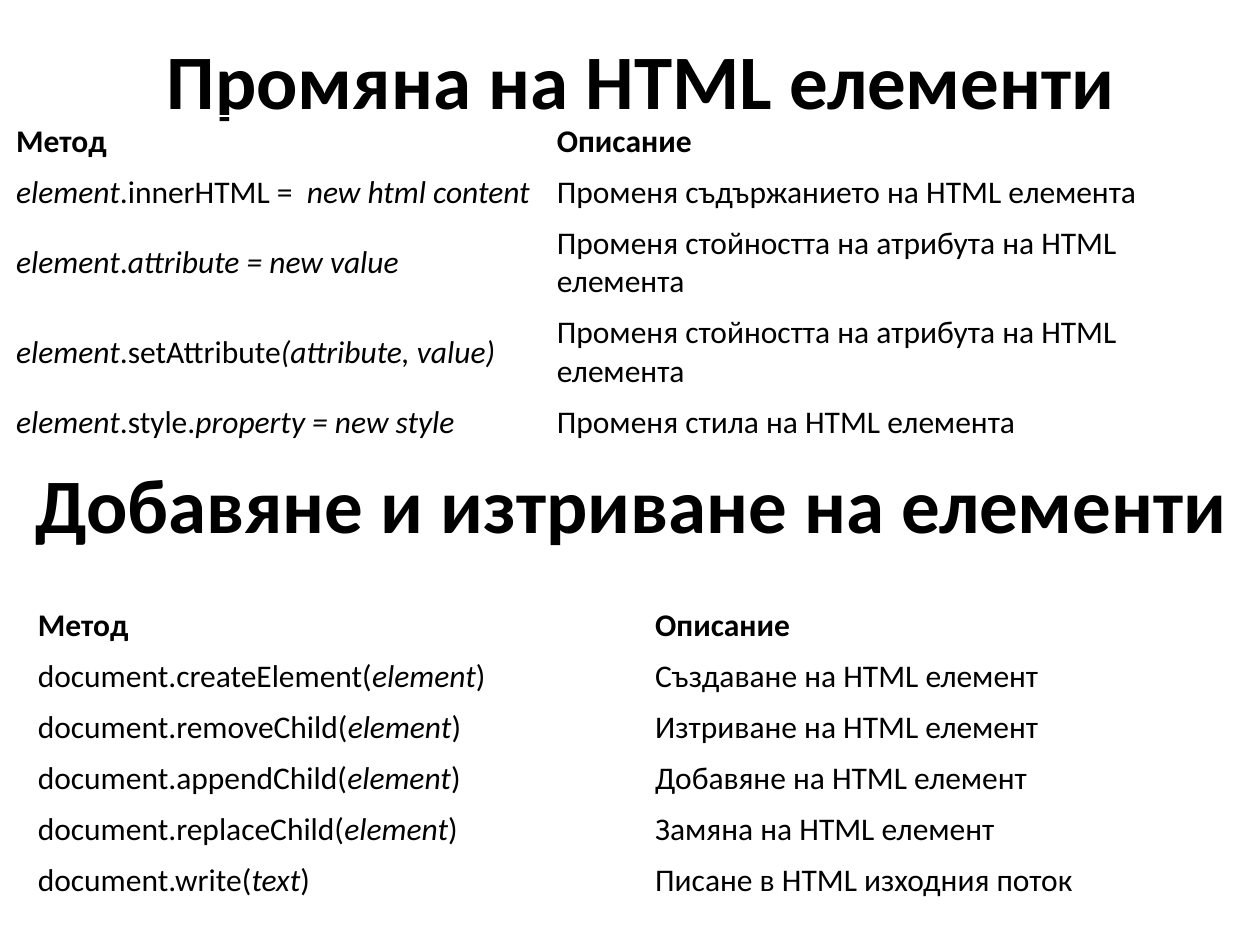
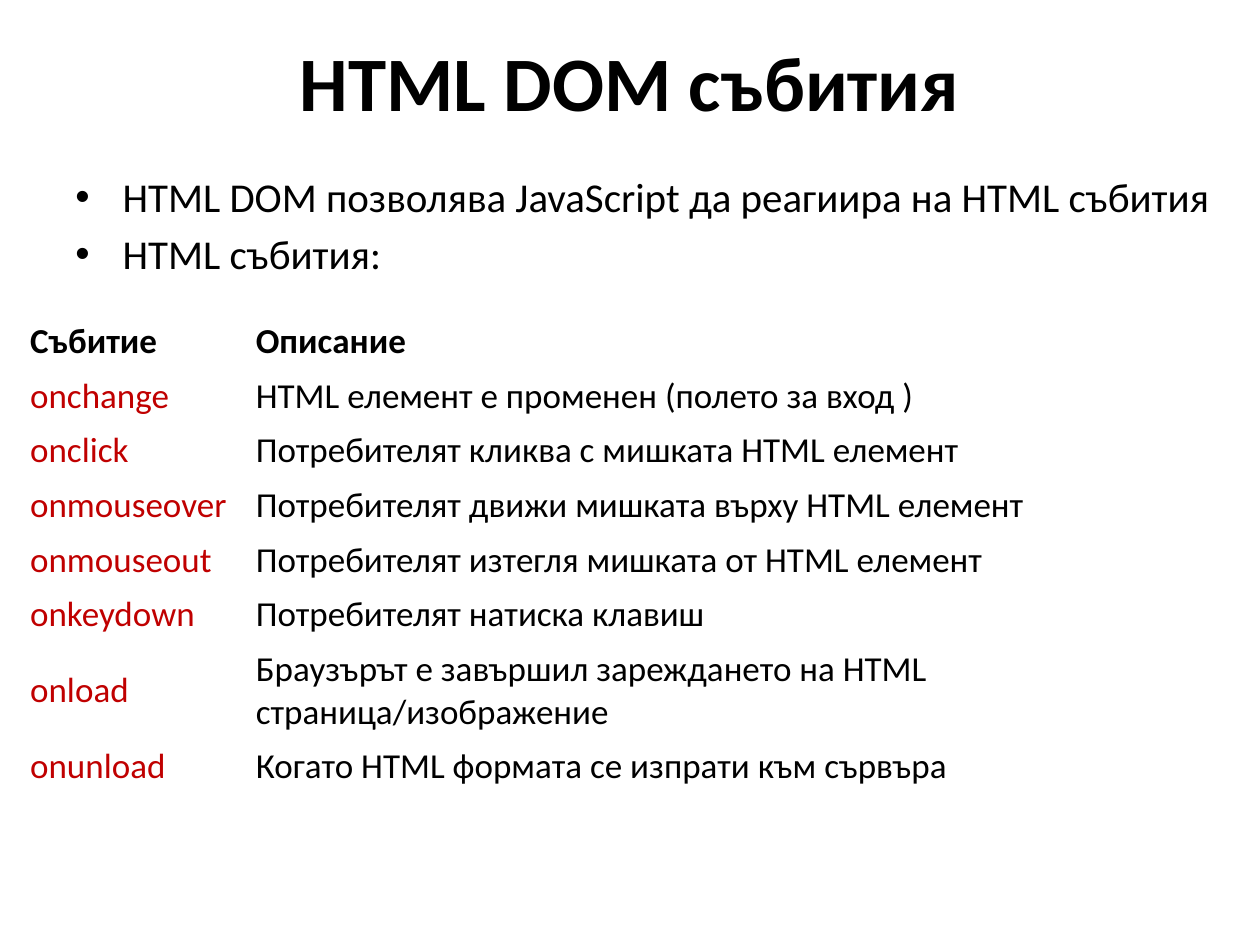
from lxml import etree
from pptx import Presentation
from pptx.dml.color import RGBColor
from pptx.enum.text import MSO_ANCHOR, MSO_AUTO_SIZE, PP_ALIGN
from pptx.oxml.ns import qn
from pptx.util import Pt

MIDDLE = MSO_ANCHOR.MIDDLE
CENTER = PP_ALIGN.CENTER
LEFT = PP_ALIGN.LEFT
NO_FIT = MSO_AUTO_SIZE.NONE
TITLE_ONLY = 5

FONT = "Calibri"
BLACK = "000000"
RED = "C00000"
TITLE_SIZE = 44

# Asterisks enclose italic text
CHANGE_METHODS = [
    ("Метод", "Описание"),
    ("*element*.innerHTML =  *new html content*", "Променя съдържанието на HTML елемента"),
    ("*element*.*attribute = new value*", "Променя стойността на атрибута на HTML елемента"),
    ("*element*.setAttribute*(attribute, value)*", "Променя стойността на атрибута на HTML елемента"),
    ("*element*.style.*property = new style*", "Променя стила на HTML елемента"),
]
ADD_REMOVE_METHODS = [
    ("Метод", "Описание"),
    ("document.createElement(*element*)", "Създаване на HTML елемент"),
    ("document.removeChild(*element*)", "Изтриване на HTML елемент"),
    ("document.appendChild(*element*)", "Добавяне на HTML елемент"),
    ("document.replaceChild(*element*)", "Замяна на HTML елемент"),
    ("document.write(*text*)", "Писане в HTML изходния поток"),
]
EVENTS = [
    ("Събитие", "Описание"),
    ("onchange", "HTML елемент е променен (полето за вход )"),
    ("onclick", "Потребителят кликва с мишката HTML елемент"),
    ("onmouseover", "Потребителят движи мишката върху HTML елемент"),
    ("onmouseout", "Потребителят изтегля мишката от HTML елемент"),
    ("onkeydown", "Потребителят натиска клавиш"),
    ("onload", "Браузърът е завършил зареждането на HTML страница/изображение"),
    ("onunload", "Когато HTML формата се изпрати към сървъра"),
]


def rgb(value):
    return RGBColor.from_string(value)


def format_run(r, size, color=BLACK, bold=False, italic=False):
    r.font.name = FONT
    r.font.size = Pt(size)
    r.font.color.rgb = rgb(color)
    r.font.bold = bold
    r.font.italic = italic


def place(sp, box):
    sp.left, sp.top, sp.width, sp.height = (Pt(v) for v in box)


def fill_heading(sp, text, box):
    """Shared style of the titles and the second heading."""
    place(sp, box)
    tf = sp.text_frame
    tf.text = text
    tf.word_wrap = True
    tf.auto_size = NO_FIT
    tf.vertical_anchor = MIDDLE
    p = tf.paragraphs[0]
    p.alignment = CENTER
    format_run(p.runs[0], TITLE_SIZE, bold=True)


def add_bullets(slide, lines, box, size, indent):
    tf = slide.shapes.add_textbox(*(Pt(v) for v in box)).text_frame
    tf.word_wrap = True
    tf.text = "\n".join(lines)
    for p in tf.paragraphs:
        p.space_before = Pt(size * 0.2)
        format_run(p.runs[0], size)
        props = p._p.get_or_add_pPr()
        props.set("marL", str(Pt(indent)))
        props.set("indent", str(-Pt(indent)))
        etree.SubElement(props, qn("a:buFont")).set("typeface", "Arial")
        etree.SubElement(props, qn("a:buChar")).set("char", "•")


def fill_cell(cell, text, size, color, bold):
    cell.fill.background()
    cell.vertical_anchor = MIDDLE
    p = cell.text_frame.paragraphs[0]
    p.alignment = LEFT
    for i, part in enumerate(text.split("*")):
        if part:
            r = p.add_run()
            r.text = part
            format_run(r, size, color, bold, italic=i % 2 == 1)


def add_plain_table(slide, rows, left, top, widths, size, key_color=BLACK):
    """Borderless table with a bold first row; rows grow with wrapped text."""
    row_height = round(size * 1.2 + 7.2)
    frame = slide.shapes.add_table(len(rows), len(widths), Pt(left), Pt(top),
                                   Pt(sum(widths)), Pt(row_height * len(rows)))
    table = frame.table
    table.first_row = table.horz_banding = False
    for column, width in zip(table.columns, widths):
        column.width = Pt(width)
    for i, row in enumerate(rows):
        table.rows[i].height = Pt(row_height)
        for j, text in enumerate(row):
            color = key_color if i and j == 0 else BLACK
            fill_cell(table.cell(i, j), text, size, color, bold=i == 0)


def add_slide(prs, title, box):
    slide = prs.slides.add_slide(prs.slide_layouts[TITLE_ONLY])
    fill_heading(slide.shapes.title, title, box)
    return slide


def build_elements_slide(prs):
    slide = add_slide(prs, "Промяна на HTML елементи", (42.5, 0, 648, 90))
    add_plain_table(slide, CHANGE_METHODS, 2, 66.2, (309, 409.5), 18)

    # Second half of the slide
    heading = slide.shapes.add_textbox(0, 0, 0, 0)
    fill_heading(heading, "Добавяне и изтриване на елементи", (2, 242, 718, 90))
    add_plain_table(slide, ADD_REMOVE_METHODS, 14.4, 342.7, (352.8, 352.8), 18)


def build_events_slide(prs):
    slide = add_slide(prs, "HTML DOM събития", (36, -2, 648, 96.5))
    add_bullets(slide, ["HTML DOM позволява JavaScript да реагиира на HTML събития",
                        "HTML събития:"], (36, 94.5, 684, 96.5), 23.4, 27)
    add_plain_table(slide, EVENTS, 10, 179.3, (129, 581), 20, RED)


def main():
    prs = Presentation()
    prs.slide_width, prs.slide_height = Pt(720), Pt(540)
    build_elements_slide(prs)
    build_events_slide(prs)
    prs.save("out.pptx")


if __name__ == "__main__":
    main()
